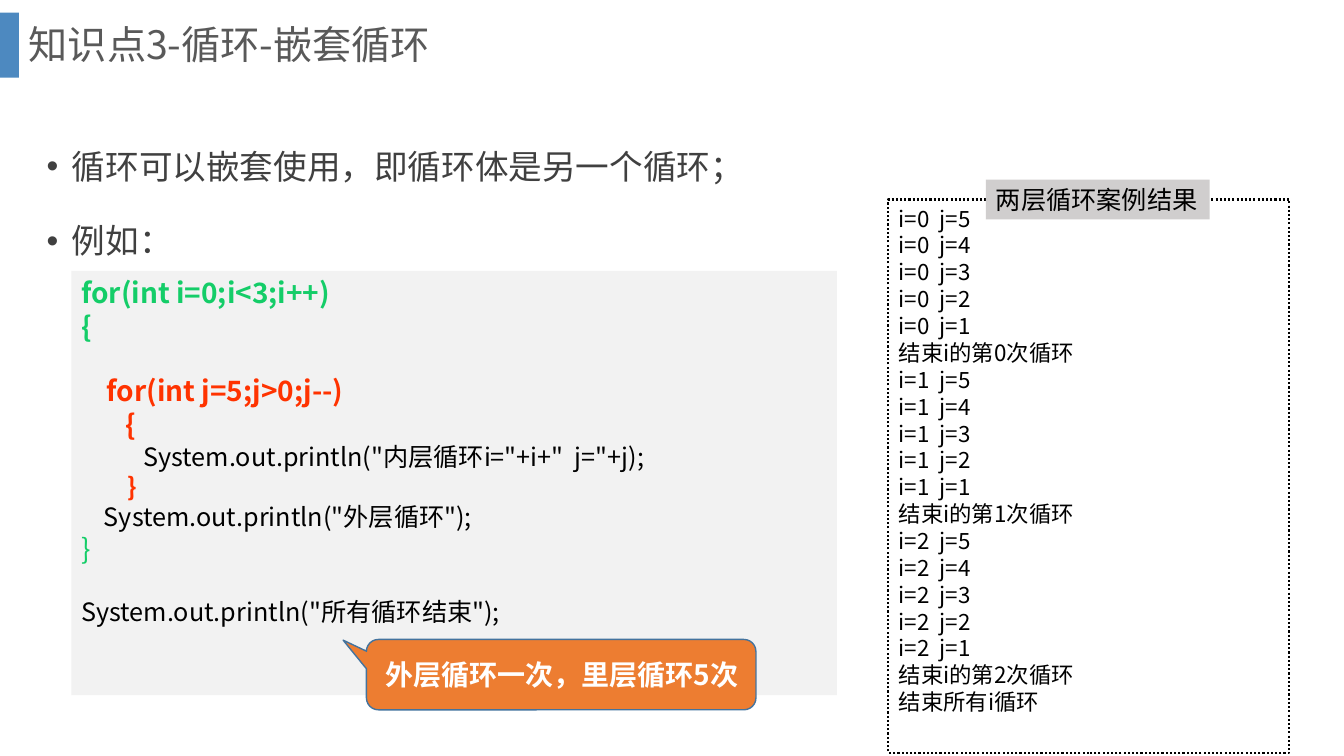
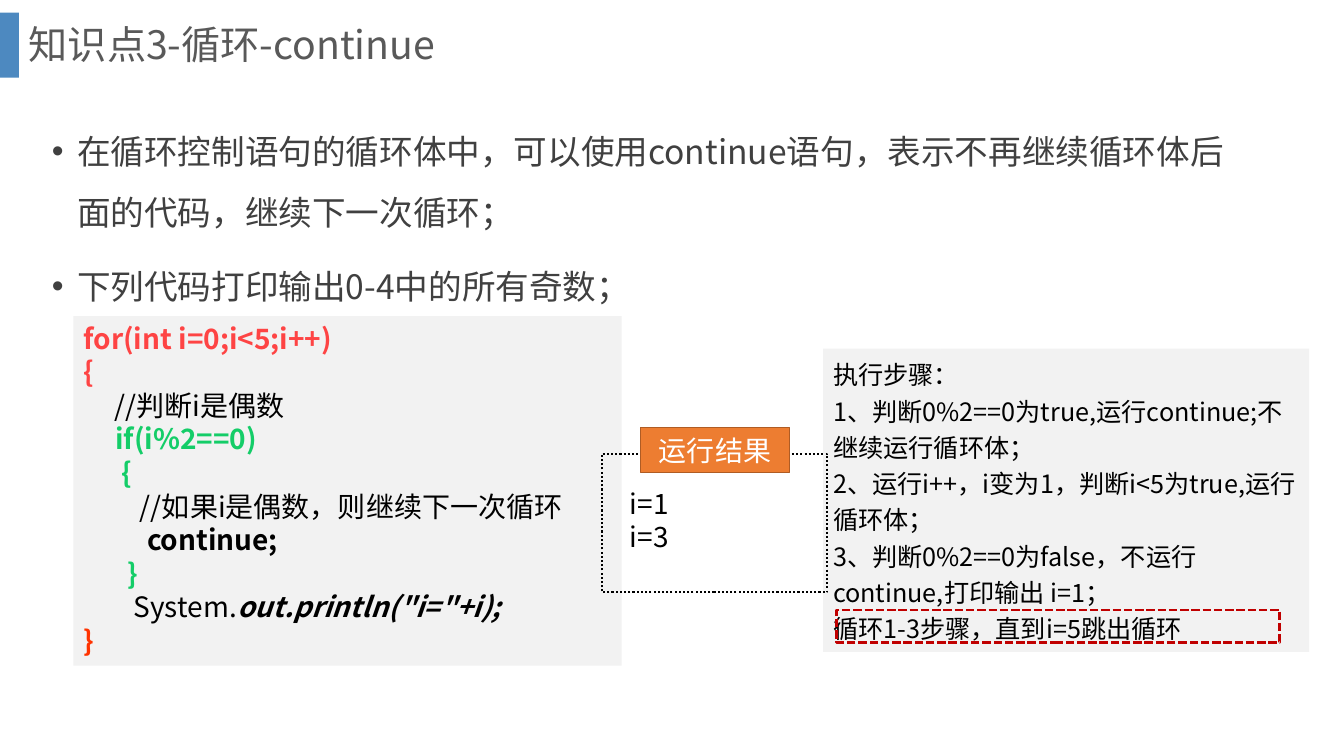
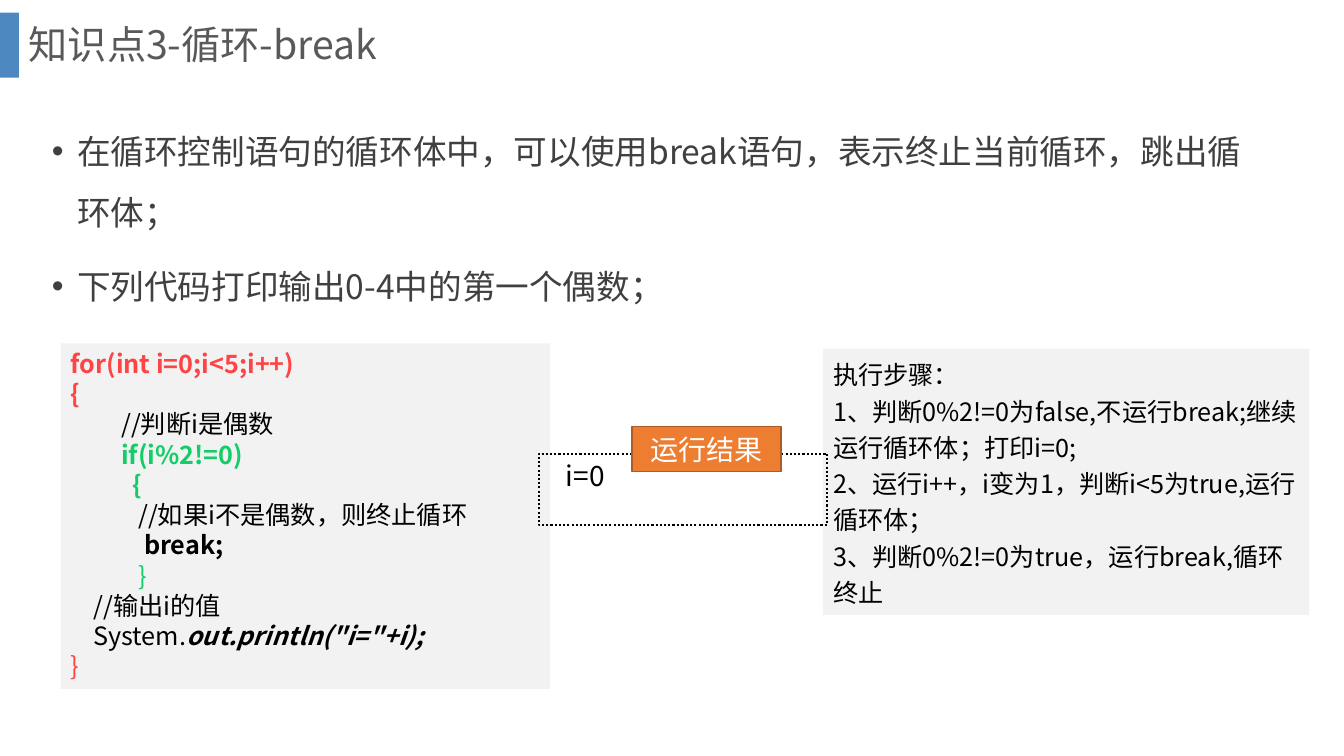
from lxml import etree
from pptx import Presentation
from pptx import util as u
from pptx.dml.color import RGBColor
from pptx.enum import dml, shapes, text
from pptx.oxml import ns

PX = 9525
FONT = "Noto Sans CJK SC"
HEX = {
    "band": "2E75B6", "title": "595959", "body": "404040", "panel": "F2F2F2",
    "label": "D0CECE", "orange": "ED7D31", "rust": "AF5C24", "blue": "43739E",
    "green": "14CD68", "red": "FE4444", "flame": "FF3300", "mark": "C00000",
    "black": "000000", "white": "FFFFFF",
}
KIND = shapes.MSO_SHAPE
MID = text.MSO_ANCHOR.MIDDLE
DOT = dml.MSO_LINE.ROUND_DOT
DASH = dml.MSO_LINE.SQUARE_DOT


def px(n):
    return u.Emu(n * PX)


def hue(name):
    return RGBColor.from_string(HEX[name])


def child(node, tag, **attrs):
    return etree.SubElement(node, ns.qn(tag), **attrs)


def para(*runs, **look):
    return runs, look


def style_run(run, style, face):
    font = run.font
    font.name = face
    for word in style.split():
        if word in HEX:
            font.color.rgb = hue(word)
        elif word == "b":
            font.bold = True
        elif word == "i":
            font.italic = True
        else:
            font.size = u.Pt(int(word))
    child(run._r.get_or_add_rPr(), "a:ea", typeface=FONT)


def write(frame, paras, base, face=FONT):
    frame.word_wrap = True
    for n, (runs, look) in enumerate(paras):
        p = frame.add_paragraph() if n else frame.paragraphs[0]
        props = p._p.get_or_add_pPr()
        props.set("marL", str(px(look.get("left", 0))))
        props.set("indent", str(px(look.get("first", 0))))
        if look.get("dot"):
            child(props, "a:buFont", typeface="Arial")
            child(props, "a:buChar", char="•")
        p.alignment = look.get("align", text.PP_ALIGN.LEFT)
        p.line_spacing = look.get("lead", 1.0)
        if n:
            p.space_before = u.Pt(look.get("gap", 0))
        for words, style in runs:
            run = p.add_run()
            run.text = words
            style_run(run, base + " " + style, face)


def box(slide, at, fill=None, line=None, width=1, dash=None, kind=KIND.RECTANGLE):
    shape = slide.shapes.add_shape(kind, *map(px, at))
    shape.shadow.inherit = False
    shape.text_frame.vertical_anchor = text.MSO_ANCHOR.TOP
    if fill:
        shape.fill.solid()
        shape.fill.fore_color.rgb = hue(fill)
    else:
        shape.fill.background()
    if line:
        shape.line.color.rgb = hue(line)
        shape.line.width = u.Pt(width)
        shape.line.dash_style = dash
    else:
        shape.line.fill.background()
    return shape


def start(deck, title):
    slide = deck.slides.add_slide(deck.slide_layouts[6])
    band = box(slide, (0, 12, 18, 62), "band")
    tint = band._element.spPr.find(".//" + ns.qn("a:srgbClr"))
    child(tint, "a:alpha", val="85000")
    frame = slide.shapes.add_textbox(*map(px, (18, 0, 1215, 89))).text_frame
    frame.vertical_anchor = MID
    write(frame, [para((title, ""), lead=0.9)], "title 28")
    return slide


def points(slide, at, lines):
    frame = slide.shapes.add_textbox(*map(px, at)).text_frame
    write(frame, [para((line, ""), left=24, first=-24, lead=1.5, gap=10, dot=True)
                  for line in lines], "body 24")


def code(slide, at, paras, size):
    write(box(slide, at, "panel").text_frame, paras, f"black {size}")


def steps(slide, high, lines):
    frame = box(slide, (784, 332, 463, high), "panel").text_frame
    write(frame, [para((line, ""), lead=1.2) for line in lines], "black 18")


def output(slide, at, lines, size, inset=(10, 5)):
    frame = box(slide, at, None, "black", 1.5, DOT).text_frame
    frame.margin_left, frame.margin_top = map(px, inset)
    write(frame, [para((line, "")) for line in lines], f"black {size}")


def badge(slide, x, y):
    frame = box(slide, (x, y, 142, 43), "orange", "rust").text_frame
    frame.vertical_anchor = MID
    write(frame, [para(("运行结果", ""), align=text.PP_ALIGN.CENTER)], "white 20", "Calibri")


def nested(deck):
    slide = start(deck, "知识点3-循环-嵌套循环")
    points(slide, (35, 115, 1157, 259), ["循环可以嵌套使用，即循环体是另一个循环；", "例如："])
    code(slide, (68, 258, 729, 404), [
        para(("for(int i=0;i<3;i++)", "green b 20")),
        para(("{", "green b 20")),
        para(("    for(int j=5;j>0;j--)", "flame b 20"), gap=22),
        para(("       {", "flame b 20")),
        para(('           System.out.println("内层循环i="+i+"  j="+j);', "")),
        para(("        }", "flame b")),
        para(('    System.out.println("外层循环");', "")),
        para(("}", "green 20")),
        para(('System.out.println("所有循环结束");', ""), gap=22),
    ], 18)
    lines = []
    for i in range(3):
        lines += [f"i={i}  j={j}" for j in range(5, 0, -1)]
        lines.append(f"结束i的第{i}次循环")
    output(slide, (846, 190, 382, 527), lines + ["结束所有i循环"], 16)
    label = box(slide, (939, 171, 213, 38), "label")
    write(label.text_frame, [para(("两层循环案例结果", ""))], "black 18")
    note = box(slide, (349, 609, 371, 67), "orange", "blue",
               kind=KIND.ROUNDED_RECTANGULAR_CALLOUT)
    for n, value in enumerate((-0.56, -0.49, 0.17)):
        note.adjustments[n] = value
    note.text_frame.vertical_anchor = MID
    write(note.text_frame, [para(("外层循环一次，里层循环5次", ""), left=36, first=-31)],
          "white b 20")


def skip(deck):
    slide = start(deck, "知识点3-循环-continue")
    points(slide, (40, 101, 1157, 186), [
        "在循环控制语句的循环体中，可以使用continue语句，表示不再继续循环体后面的代码，继续下一次循环；",
        "下列代码打印输出0-4中的所有奇数；",
    ])
    code(slide, (70, 301, 522, 333), [
        para(("for(int i=0;i<5;i++)", "red b")),
        para(("{", "red b")),
        para(("     //判断i是偶数", "")),
        para(("     if(i%2==0)", "green b")),
        para(("      {", "green b")),
        para(("         //如果i是偶数，则继续下一次循环", "")),
        para(("          continue;", "b")),
        para(("       }", "green b")),
        para(("        System.", ""), ('out.println("i="+i);', "b i")),
        para(("}", "flame b")),
    ], 20)
    steps(slide, 289, [
        "执行步骤：",
        "1、判断0%2==0为true,运行continue;不继续运行循环体；",
        "2、运行i++，i变为1，判断i<5为true,运行循环体；",
        "3、判断0%2==0为false，不运行continue,打印输出 i=1；",
        "循环1-3步骤，直到i=5跳出循环",
    ])
    box(slide, (797, 581, 422, 31), None, "mark", 2, DASH)
    output(slide, (573, 432, 215, 132), ["i=1", "i=3"], 20, (27, 31))
    badge(slide, 610, 407)


def leave(deck):
    slide = start(deck, "知识点3-循环-break")
    points(slide, (40, 101, 1157, 186), [
        "在循环控制语句的循环体中，可以使用break语句，表示终止当前循环，跳出循环体；",
        "下列代码打印输出0-4中的第一个偶数；",
    ])
    code(slide, (58, 327, 466, 329), [
        para(("for(int i=0;i<5;i++)", "red b")),
        para(("{", "red b")),
        para(("//判断i是偶数", ""), left=48),
        para(("if(i%2!=0)", "green b"), left=48),
        para(("  {", "green b"), left=48),
        para(("   //如果i不是偶数，则终止循环", ""), left=48),
        para(("    break;", "b"), left=48),
        para(("   }", "green"), left=48),
        para(("    //输出i的值", "")),
        para(("    System.", ""), ('out.println("i="+i);', "b i")),
        para(("}", "red")),
    ], 18)
    steps(slide, 254, [
        "执行步骤：",
        "1、判断0%2!=0为false,不运行break;继续运行循环体；打印i=0;",
        "2、运行i++，i变为1，判断i<5为true,运行循环体；",
        "3、判断0%2!=0为true，运行break,循环终止",
    ])
    output(slide, (513, 432, 275, 68), ["i=0"], 20, (26, 5))
    badge(slide, 602, 406)


def main():
    deck = Presentation()
    deck.slide_width, deck.slide_height = px(1280), px(720)
    nested(deck)
    skip(deck)
    leave(deck)
    deck.save("out.pptx")


if __name__ == "__main__":
    main()
